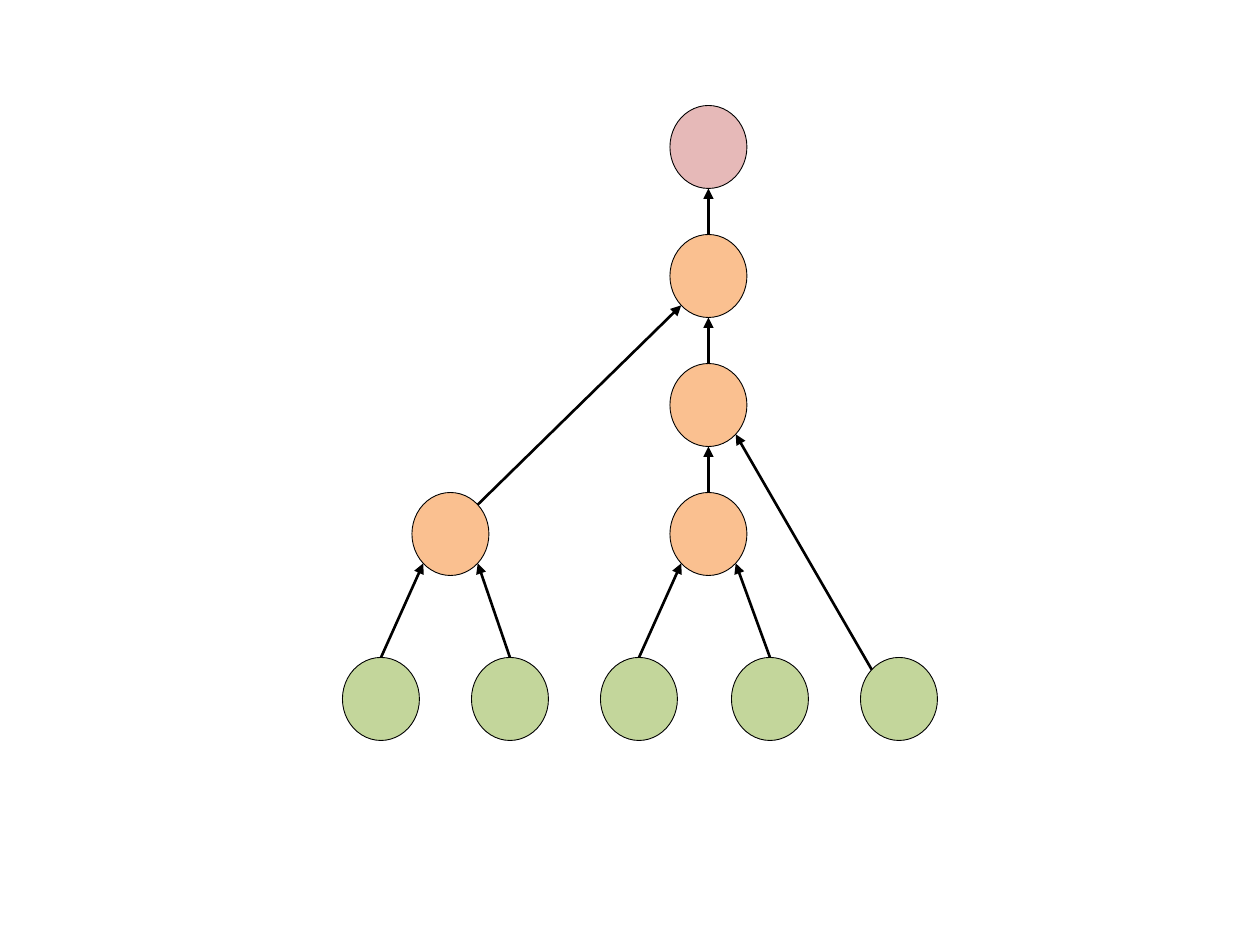
"""Build a slide with a tree of leaf, inner and root nodes joined by arrows."""
import math

import pptx
import pptx.dml.color
import pptx.enum.shapes
import pptx.oxml
import pptx.oxml.ns
import pptx.util

THEME = {
    "leaf": "C3D69B",
    "inner": "FAC090",
    "root": "E6B9B8",
    "ink": "000000",
    "outline": 0.5,
    "arrow": 1.5,
}
EMU_PER_PX = 914400 / 252
PAGE_WIDTH, PAGE_HEIGHT = 2520, 1890
NODE_WIDTH, NODE_HEIGHT = 154, 166

LEFT_X, TRUNK_X = 901, 1417
LEAF_Y, ROOT_Y, LEVEL_GAP = 1398, 294, 258
LEAF_X = [762, 1020, 1278, 1540, 1798]

NODES = {f"leaf {number}": ("leaf", x, LEAF_Y) for number, x in enumerate(LEAF_X, 1)}
NODES["left"] = ("inner", LEFT_X, ROOT_Y + 3 * LEVEL_GAP)
for level, name in enumerate(["root", "upper", "middle", "lower"]):
    kind = "inner" if level else "root"
    NODES[name] = (kind, TRUNK_X, ROOT_Y + level * LEVEL_GAP)

SITE_ANGLES = {
    "top": -90,
    "top right": -45,
    "bottom right": 45,
    "bottom": 90,
    "bottom left": 135,
    "top left": -135,
}
ARROWS = [
    ("leaf 1", "top", "left", "bottom left"),
    ("leaf 2", "top", "left", "bottom right"),
    ("leaf 3", "top", "lower", "bottom left"),
    ("leaf 4", "top", "lower", "bottom right"),
    ("leaf 5", "top left", "middle", "bottom right"),
    ("left", "top right", "upper", "bottom left"),
    ("lower", "top", "middle", "bottom"),
    ("middle", "top", "upper", "bottom"),
    ("upper", "top", "root", "bottom"),
]


def emu(px):
    return pptx.util.Emu(round(px * EMU_PER_PX))


def color(name):
    return pptx.dml.color.RGBColor.from_string(THEME[name])


def style_line(line, width):
    line.color.rgb = color("ink")
    line.width = pptx.util.Pt(THEME[width])


def site(name, place):
    _, x, y = NODES[name]
    angle = math.radians(SITE_ANGLES[place])
    return (
        emu(x + NODE_WIDTH / 2 * math.cos(angle)),
        emu(y + NODE_HEIGHT / 2 * math.sin(angle)),
    )


def add_node(page, kind, x, y):
    node = page.shapes.add_shape(
        pptx.enum.shapes.MSO_SHAPE.OVAL,
        emu(x - NODE_WIDTH / 2),
        emu(y - NODE_HEIGHT / 2),
        emu(NODE_WIDTH),
        emu(NODE_HEIGHT),
    )
    node.shadow.inherit = False
    node.fill.solid()
    node.fill.fore_color.rgb = color(kind)
    style_line(node.line, "outline")


def add_arrow(page, source, source_site, target, target_site):
    arrow = page.shapes.add_connector(
        pptx.enum.shapes.MSO_CONNECTOR.STRAIGHT,
        *site(source, source_site),
        *site(target, target_site),
    )
    style_line(arrow.line, "arrow")
    properties = arrow._element.spPr
    head = pptx.oxml.parse_xml(
        f'<a:tailEnd {pptx.oxml.ns.nsdecls("a")} type="triangle"/>'
    )
    properties.find(pptx.oxml.ns.qn("a:ln")).append(head)
    properties.append(
        pptx.oxml.parse_xml(f'<a:effectLst {pptx.oxml.ns.nsdecls("a")}/>')
    )


def main():
    deck = pptx.Presentation()
    deck.slide_width, deck.slide_height = emu(PAGE_WIDTH), emu(PAGE_HEIGHT)
    page = deck.slides.add_slide(deck.slide_layouts[6])
    for node in NODES.values():
        add_node(page, *node)
    for arrow in ARROWS:
        add_arrow(page, *arrow)
    deck.save("out.pptx")


if __name__ == "__main__":
    main()
